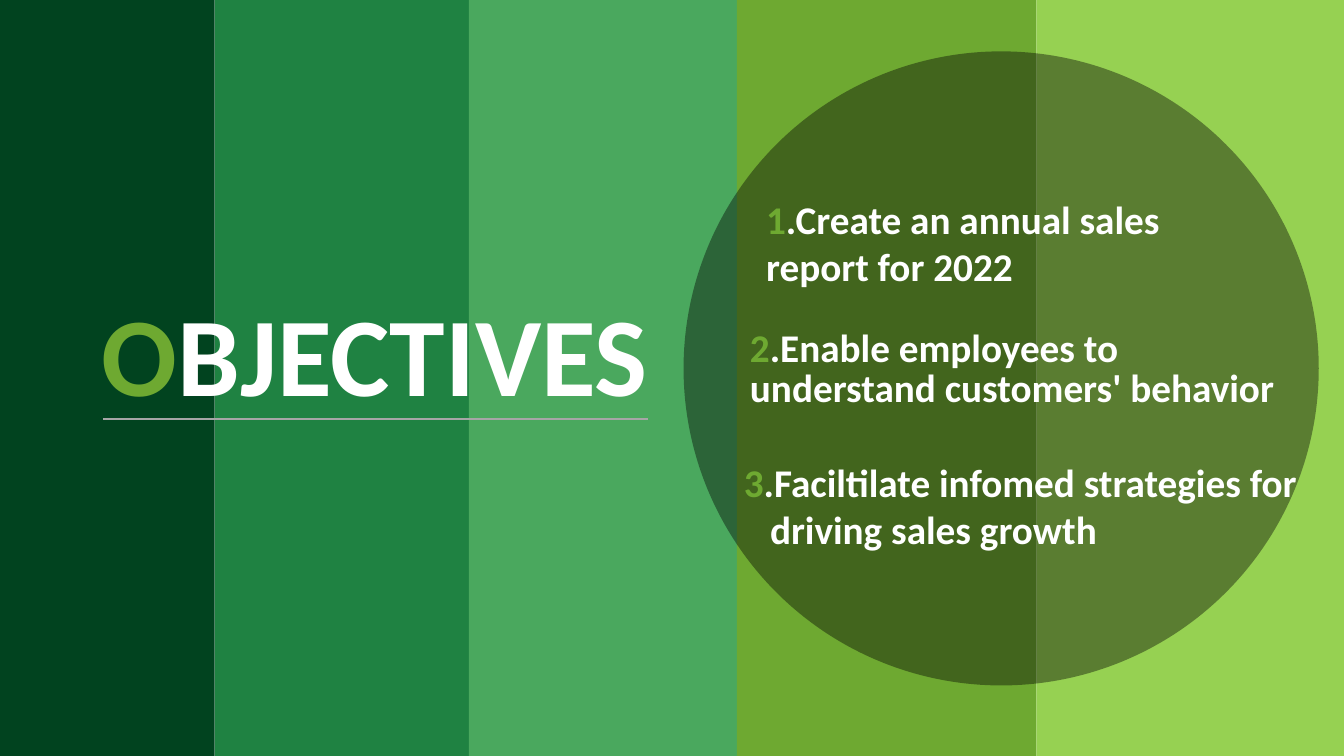
from lxml import etree
from pptx import Presentation
from pptx.dml.color import RGBColor
from pptx.enum.shapes import MSO_CONNECTOR, MSO_SHAPE
from pptx.oxml.ns import qn
from pptx.util import Inches, Pt

RECT = MSO_SHAPE.RECTANGLE
OVAL = MSO_SHAPE.OVAL
STRAIGHT = MSO_CONNECTOR.STRAIGHT
LIME = "6EA931"
WHITE = "FFFFFF"


def rgb(color):
    return RGBColor.from_string(color)


def add_run(p, text, size=28, color=WHITE):
    r = p.add_run()
    r.text = text
    r.font.name = "Calibri"
    r.font.size = Pt(size)
    r.font.bold = True
    r.font.color.rgb = rgb(color)


prs = Presentation()
prs.slide_width = Inches(13.33)
prs.slide_height = Inches(7.5)
s = prs.slides.add_slide(prs.slide_layouts[6])

edges = [0, 2.13, 4.65, 7.31, 10.28, 13.33]
greens = ["01431F", "1F8242", "4AA85E", LIME, "96D152"]
shapes = [(RECT, left, 0, right - left, 7.5, color)
          for left, right, color in zip(edges, edges[1:], greens)]
shapes.append((OVAL, 6.78, 0.51, 6.3, 6.29, "000000"))
for kind, left, top, width, height, color in shapes:
    sp = s.shapes.add_shape(kind, Inches(left), Inches(top), Inches(width), Inches(height))
    sp.shadow.inherit = False
    sp.fill.solid()
    sp.fill.fore_color.rgb = rgb(color)
    sp.line.fill.background()

circle_color = sp._element.spPr.find(qn("a:solidFill"))[0]
etree.SubElement(circle_color, qn("a:alpha"), val="40000")

underline = s.shapes.add_connector(STRAIGHT, Inches(1.02), Inches(4.16), Inches(6.43), Inches(4.16))
underline.line.color.rgb = rgb("A6A6A6")
underline.line.width = Pt(1.5)
etree.SubElement(underline._element.spPr, qn("a:effectLst"))

texts = [
    (0.91, 2.77, 6.36, 1.45, 80, None, "O", "BJECTIVES"),
    (7.5, 1.89, 5.2, 1.21, 28, None, "1", ".Create an annual sales report for 2022"),
    (7.34, 3.24, 5.73, 1.26, 28, Pt(28), "2", ".Enable employees to understand customers' behavior"),
    (7.28, 4.5, 5.8, 1.52, 28, None, "3", ".Faciltilate infomed strategies for"),
]
for left, top, width, height, size, spacing, accent, text in texts:
    tf = s.shapes.add_textbox(Inches(left), Inches(top), Inches(width), Inches(height)).text_frame
    tf.word_wrap = True
    p = tf.paragraphs[0]
    p.line_spacing = spacing
    add_run(p, accent, size=size, color=LIME)
    add_run(p, text, size=size)

p = tf.add_paragraph()
p._p.get_or_add_pPr().set("marL", str(Inches(0.26)))
add_run(p, "driving sales growth")

prs.save("out.pptx")
